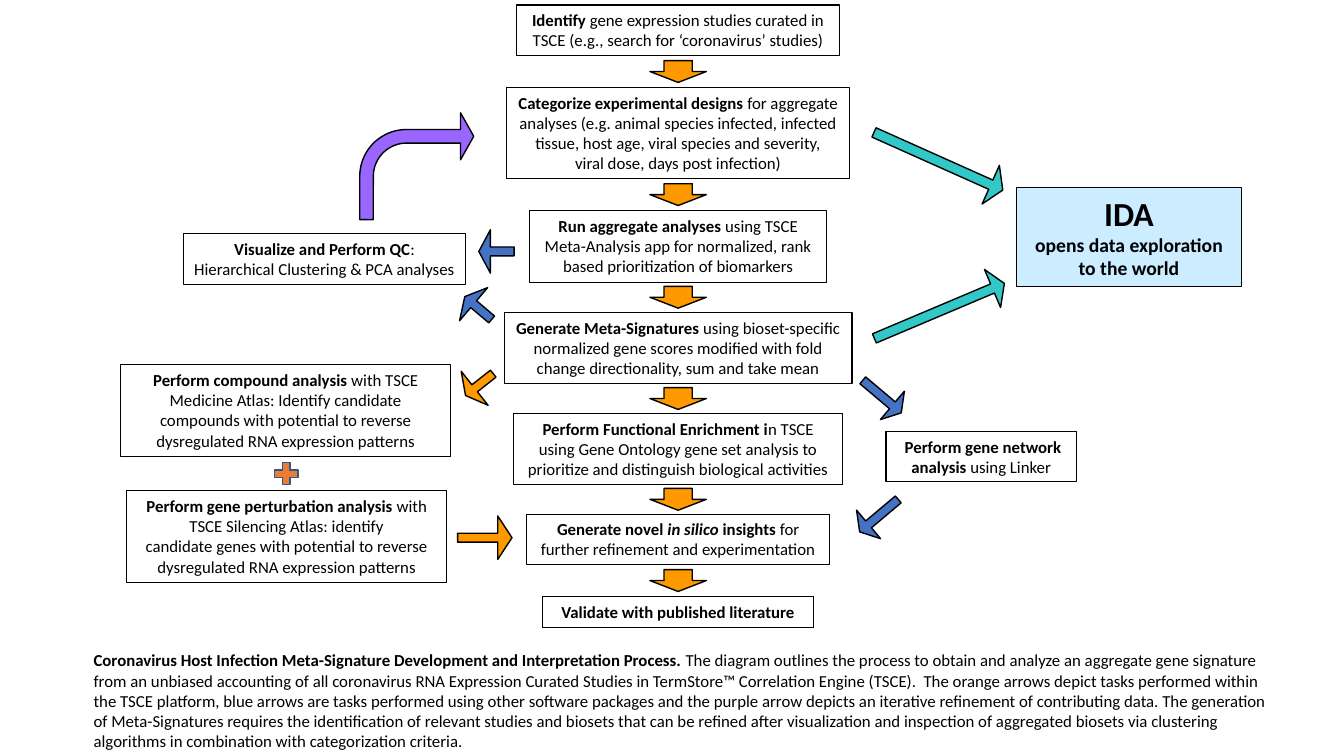
from itertools import pairwise

from pptx import Presentation
from pptx.dml.color import RGBColor
from pptx.enum.shapes import MSO_SHAPE as Shape
from pptx.enum.text import MSO_ANCHOR as Anchor, MSO_AUTO_SIZE as AutoSize, PP_ALIGN as Align
from pptx.util import Pt

BLACK = RGBColor(0x00, 0x00, 0x00)
ORANGE = RGBColor(0xFF, 0x99, 0x00)
BLUE = RGBColor(0x44, 0x72, 0xC4)
PURPLE = RGBColor(0x99, 0x66, 0xFF)
TEAL = RGBColor(0x32, 0xC8, 0xC8)
PALE_BLUE = RGBColor(0xCC, 0xEC, 0xFF)
PLUS_FILL = RGBColor(0xED, 0x7D, 0x31)
PLUS_LINE = RGBColor(0x32, 0x54, 0x91)

AXIS = 484.4  # centre of the main column
SHORT = (0.205, 0.329)
LONG = (0.24, 0.311)

# top, width, height, paragraphs of (text, style) runs
MAIN_STEPS = [
    (3.6, 230.4, 36, [[
        ("Identify", "b"),
        (" gene expression studies curated in TSCE (e.g., search for ‘coronavirus’ studies)", "")]]),
    (62.6, 245, 65, [
        [("Categorize experimental designs ", "b"),
         ("for aggregate analyses (e.g. animal species infected, infected tissue, "
          "host age, viral species and severity,", "")],
        [("viral dose, days post infection)", "")]]),
    (150.5, 212.4, 51, [[
        ("Run aggregate analyses ", "b"),
        ("using TSCE Meta-Analysis app for normalized, rank based "
         "prioritization of biomarkers", "")]]),
    (223.2, 248.4, 51, [[
        ("Generate Meta-Signatures", "b"),
        (" using bioset-specific normalized gene scores modified with fold "
         "change directionality, sum and take mean", "")]]),
    (295.2, 235.4, 51, [[
        ("Perform Functional Enrichment i", "b"),
        ("n TSCE using Gene Ontology gene set analysis to prioritize and "
         "distinguish biological activities", "")]]),
    (367.2, 216, 36, [[
        ("Generate novel ", "b"), ("in silico ", "bi"), ("insights ", "b"),
        ("for further refinement and experimentation", "")]]),
    (426.2, 193.7, 22, [[("Validate with published literature", "b")]]),
]

# left, top, width, height, paragraphs
SIDE_STEPS = [
    (131, 167, 201.6, 36, [
        [("Visualize and Perform QC", "b"), (":", "")],
        [("Hierarchical Clustering & PCA analyses", "")]]),
    (632.9, 308.2, 136, 36, [[
        (" Perform gene network analysis ", "b"), ("using Linker", "")]]),
    (86.4, 260.6, 235.4, 65.5, [[
        ("Perform compound analysis ", "b"),
        ("with TSCE Medicine Atlas: Identify candidate compounds with potential "
         "to reverse dysregulated RNA expression patterns", "")]]),
    (90.7, 350.6, 228.2, 65.5, [
        [("Perform gene perturbation analysis ", "b"),
         ("with TSCE Silencing Atlas: identify", "")],
        [("candidate genes with potential to reverse dysregulated RNA "
          "expression patterns", "")]]),
]

# centre x, centre y, length, breadth, rotation, colour, adjustments
SIDE_ARROWS = [
    (354.6, 179.6, 25.2, 31, 180, BLUE, SHORT),
    (341.6, 220, 25.2, 31, 220.3, BLUE, SHORT),
    (342.4, 274.7, 25.2, 31, 141.7, ORANGE, SHORT),
    (346.3, 384.1, 38.9, 31, 0, ORANGE, SHORT),
    (630, 283.3, 36, 26.6, 40.2, BLUE, LONG),
    (627.8, 368.3, 36, 26.6, 139.9, BLUE, LONG),
    (670.3, 115.2, 100.8, 30.2, 24.1, TEAL, LONG),
    (671, 222.1, 100.8, 29.5, 337.1, TEAL, LONG),
]

CAPTION = [[
    ("Coronavirus Host Infection Meta-Signature Development and Interpretation Process. ", "b"),
    ("The diagram outlines the process to obtain and analyze an aggregate gene signature "
     "from an unbiased accounting of all coronavirus RNA Expression Curated Studies in "
     "TermStore™ Correlation Engine (TSCE).  The orange arrows depict tasks performed within "
     "the TSCE platform, blue arrows are tasks performed using other software packages and "
     "the purple arrow depicts an iterative refinement of contributing data. The generation "
     "of Meta-Signatures requires the identification of relevant studies and biosets that can "
     "be refined after visualization and inspection of aggregated biosets via clustering "
     "algorithms in combination with categorization criteria.", "")]]


class Diagram:
    font = "Calibri"

    def __init__(self, slide):
        self.slide = slide

    def add_text(self, frame, paragraphs, align, sizes):
        """Fill a text frame; sizes gives one font size per paragraph."""
        frame.word_wrap = True
        frame.auto_size = AutoSize.SHAPE_TO_FIT_TEXT
        frame.vertical_anchor = Anchor.TOP
        for index, runs in enumerate(paragraphs):
            paragraph = frame.add_paragraph() if index else frame.paragraphs[0]
            paragraph.alignment = align
            for text, style in runs:
                run = paragraph.add_run()
                run.text = text
                run.font.name = self.font
                run.font.size = Pt(sizes[index])
                run.font.color.rgb = BLACK
                run.font.bold = "b" in style
                run.font.italic = "i" in style

    def figure(self, kind, left, top, width, height, fill=None, line=BLACK, weight=1, adjust=()):
        """Add a preset shape; without a fill colour it stays clear."""
        figure = self.slide.shapes.add_shape(kind, Pt(left), Pt(top), Pt(width), Pt(height))
        figure.shadow.inherit = False
        if fill is None:
            figure.fill.background()
        else:
            figure.fill.solid()
            figure.fill.fore_color.rgb = fill
        figure.line.color.rgb = line
        figure.line.width = Pt(weight)
        for index, value in enumerate(adjust):
            figure.adjustments[index] = value
        return figure

    def box(self, left, top, width, height, paragraphs, fill=None, sizes=(12, 12)):
        box = self.figure(Shape.RECTANGLE, left, top, width, height, fill, weight=0.75)
        self.add_text(box.text_frame, paragraphs, Align.CENTER, sizes)

    def arrow(self, x, y, length, breadth, rotation, colour, adjust=()):
        """Add a block arrow centred on x, y."""
        arrow = self.figure(Shape.RIGHT_ARROW, x - length / 2, y - breadth / 2,
                            length, breadth, colour, adjust=adjust)
        arrow.rotation = rotation

    def caption(self, left, top, width, height, paragraphs):
        caption = self.slide.shapes.add_textbox(Pt(left), Pt(top), Pt(width), Pt(height))
        self.add_text(caption.text_frame, paragraphs, Align.LEFT, (12,))


def main():
    deck = Presentation()
    deck.slide_width, deck.slide_height = Pt(960), Pt(540)
    diagram = Diagram(deck.slides.add_slide(deck.slide_layouts[6]))

    for top, width, height, paragraphs in MAIN_STEPS:
        diagram.box(AXIS - width / 2, top, width, height, paragraphs)
    for (top, _, height, _), (next_top, *_) in pairwise(MAIN_STEPS):
        diagram.arrow(AXIS, (top + height + next_top) / 2, 15.6, 40.3, 90, ORANGE)

    for step in SIDE_STEPS:
        diagram.box(*step)
    for arrow in SIDE_ARROWS:
        diagram.arrow(*arrow)

    diagram.figure(Shape.MATH_PLUS, 193, 327.6, 23, 21.6, PLUS_FILL, PLUS_LINE)
    diagram.figure(Shape.BENT_ARROW, 257, 80.6, 81.4, 76.3, PURPLE,
                   adjust=(0.127, 0.22, 0.123, 0.438))
    diagram.box(725.8, 133.9, 161.3, 70.6,
                [[("IDA", "b")], [("opens data exploration to the world", "b")]],
                PALE_BLUE, (24, 14))
    diagram.caption(59.8, 460.8, 856.8, 79.9, CAPTION)
    deck.save("out.pptx")


if __name__ == "__main__":
    main()
